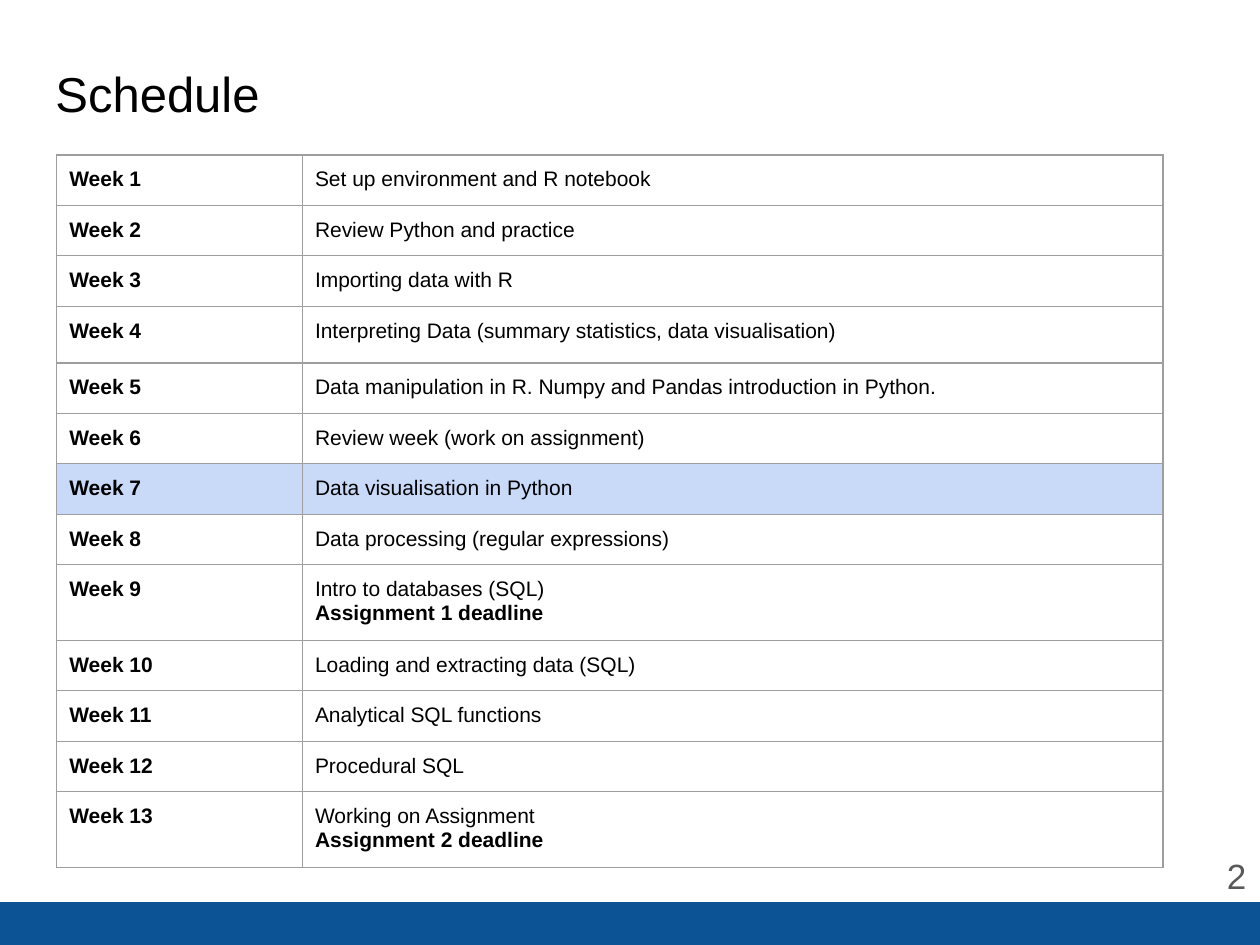
from lxml.etree import SubElement
from pptx import Presentation
from pptx.dml.color import RGBColor
from pptx.enum.shapes import MSO_SHAPE as Shape
from pptx.enum.text import MSO_ANCHOR as Anchor, MSO_AUTO_SIZE as Fit, PP_ALIGN as Align
from pptx.oxml.ns import qn
from pptx.util import Inches, Pt

COLORS = {"bar": "0B5394", "text": "000000", "number": "595959",
          "line": "9E9E9E", "plain": "FFFFFF", "now": "C9DAF8"}
INSETS = {f"margin_{side}": Inches(0.1) for side in ("left", "top", "right", "bottom")}
CURRENT = 7
TOPICS = [
    ["Set up environment and R notebook"],
    ["Review Python and practice"],
    ["Importing data with R"],
    ["Interpreting Data (summary statistics, data visualisation)"],
    ["Data manipulation in R. Numpy and Pandas introduction in Python."],
    ["Review week (work on assignment)"],
    ["Data visualisation in Python"],
    ["Data processing (regular expressions)"],
    ["Intro to databases (SQL)", "Assignment 1 deadline"],
    ["Loading and extracting data (SQL)"],
    ["Analytical SQL functions"],
    ["Procedural SQL"],
    ["Working on Assignment", "Assignment 2 deadline"],
]


def color(name):
    return RGBColor.from_string(COLORS[name])


def apply(item, values):
    for name, value in values.items():
        setattr(item, name, value)


def write(par, text, size, tint="text", bold=False):
    run = par.add_run()
    run.text = text
    apply(run.font, {"name": "Arial", "size": Pt(size), "bold": bold})
    run.font.color.rgb = color(tint)


def add_bar(slide, box):
    bar = slide.shapes.add_shape(Shape.RECTANGLE, *box)
    bar.shadow.inherit = False
    bar.fill.solid()
    bar.fill.fore_color.rgb = color("bar")
    bar.line.fill.background()


def add_title(slide, box):
    title = slide.shapes.title
    apply(title, dict(zip(("left", "top", "width", "height"), box)))
    frame = title.text_frame
    apply(frame, {**INSETS, "vertical_anchor": Anchor.TOP, "auto_size": Fit.NONE})
    par = frame.paragraphs[0]
    par.alignment = Align.LEFT
    write(par, "Schedule", 28)


def add_number(slide, box):
    frame = slide.shapes.add_textbox(*box).text_frame
    apply(frame, {**INSETS, "word_wrap": True, "vertical_anchor": Anchor.MIDDLE})
    par = frame.paragraphs[0]
    par.alignment = Align.RIGHT
    write(par, "2", 20, "number")


def add_borders(cell):
    props = cell._tc.get_or_add_tcPr()
    for side in ("lnL", "lnR", "lnT", "lnB"):
        line = SubElement(props, qn(f"a:{side}"), w=str(Pt(0.75)))
        fill = SubElement(line, qn("a:solidFill"))
        SubElement(fill, qn("a:srgbClr"), val=COLORS["line"])


def fill_cell(cell, lines, tint):
    """Write (text, bold) lines into a bordered, coloured cell."""
    apply(cell, INSETS)
    add_borders(cell)
    cell.fill.solid()
    cell.fill.fore_color.rgb = color(tint)
    frame = cell.text_frame
    for i, (text, bold) in enumerate(lines):
        par = frame.add_paragraph() if i else frame.paragraphs[0]
        write(par, text, 12, bold=bold)


def add_schedule(slide, box):
    table = slide.shapes.add_table(len(TOPICS), 2, *box).table
    apply(table, {"first_row": False, "horz_banding": False})
    label = Inches(1.95)
    table.columns[0].width = label
    table.columns[1].width = box[2] - label
    heights = {4: 0.45, 9: 0.57, 13: 0.57}
    for week, topic in enumerate(TOPICS, 1):
        row = table.rows[week - 1]
        row.height = Inches(heights.get(week, 0.4))
        tint = "now" if week == CURRENT else "plain"
        fill_cell(row.cells[0], [(f"Week {week}", True)], tint)
        fill_cell(row.cells[1], [(text, i > 0) for i, text in enumerate(topic)], tint)


def main():
    deck = Presentation()
    apply(deck, {"slide_width": Inches(10), "slide_height": Inches(7.5)})
    slide = deck.slides.add_slide(deck.slide_layouts[5])
    parts = [
        (add_bar, (0, 7.16, 10, 0.34)),
        (add_title, (0.34, 0.4, 9.32, 0.83)),
        (add_number, (9.35, 6.66, 0.64, 0.57)),
        (add_schedule, (0.45, 1.23, 8.78, 5.6)),
    ]
    for add, box in parts:
        add(slide, [Inches(n) for n in box])
    deck.save("out.pptx")


if __name__ == "__main__":
    main()
